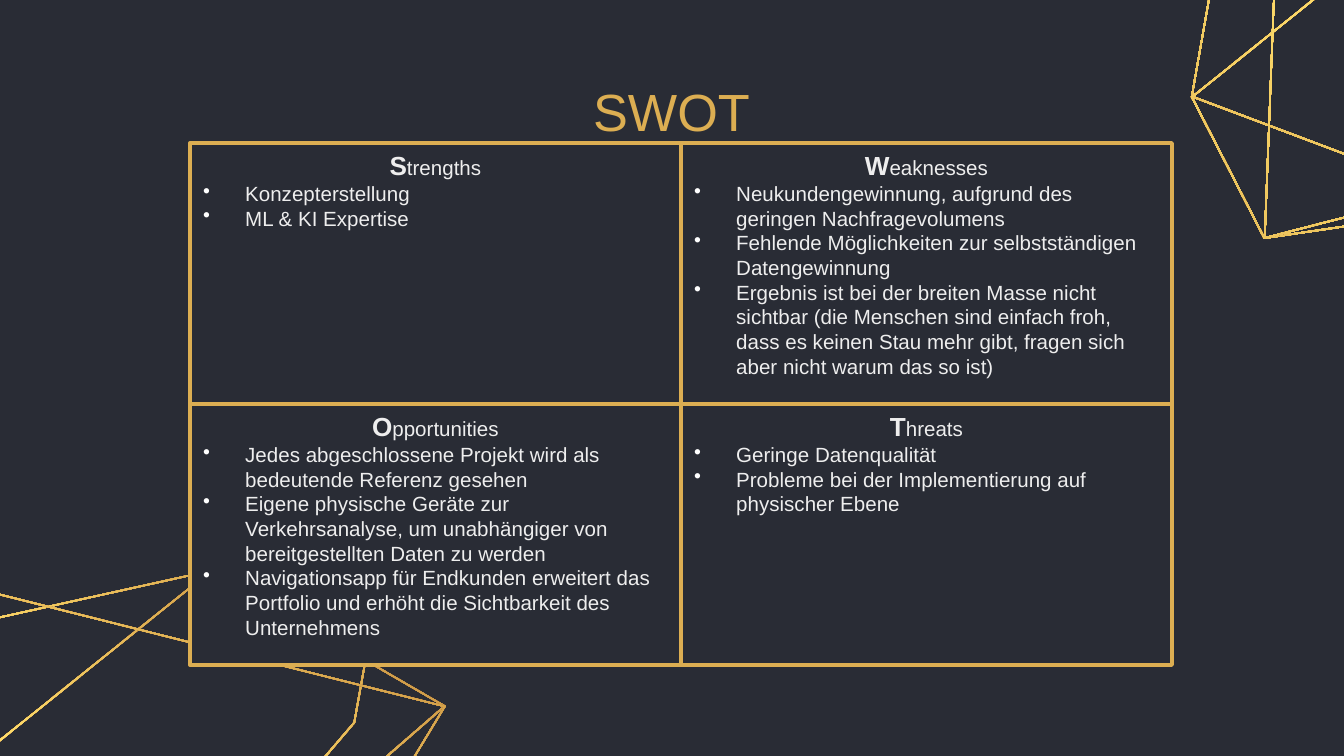
from copy import deepcopy
from dataclasses import dataclass
from math import cos, hypot, radians, sin

from lxml.etree import SubElement
from pptx import Presentation
from pptx.dml.color import RGBColor
from pptx.enum.shapes import MSO_SHAPE
from pptx.enum.text import MSO_ANCHOR, PP_ALIGN
from pptx.oxml.ns import qn
from pptx.util import Pt

PX = 6804  # EMU in one px


@dataclass(frozen=True)
class Theme:
    font: str = "Arial"
    background: str = "292C35"
    gold: str = "DCAE52"
    text: str = "EEEEEE"
    bullet: str = "FFFFFF"
    mesh: tuple = ((0, "AF7132"), (0.5, "FFDD6B"), (1, "DCAE52"))
    title_size: int = 28
    initial_size: int = 14
    body_size: int = 11
    border: int = 2


THEME = Theme()

# Content, row by row
TITLE = "SWOT"
QUADRANTS = [
    ("Strengths", ["Konzepterstellung", "ML & KI Expertise"]),
    ("Weaknesses", [
        "Neukundengewinnung, aufgrund des geringen Nachfragevolumens",
        "Fehlende Möglichkeiten zur selbstständigen Datengewinnung",
        "Ergebnis ist bei der breiten Masse nicht sichtbar (die Menschen sind einfach froh, "
        "dass es keinen Stau mehr gibt, fragen sich aber nicht warum das so ist)",
    ]),
    ("Opportunities", [
        "Jedes abgeschlossene Projekt wird als bedeutende Referenz gesehen",
        "Eigene physische Geräte zur Verkehrsanalyse, um unabhängiger von "
        "bereitgestellten Daten zu werden",
        "Navigationsapp für Endkunden erweitert das Portfolio und erhöht die "
        "Sichtbarkeit des Unternehmens",
    ]),
    ("Threats", [
        "Geringe Datenqualität",
        "Probleme bei der Implementierung auf physischer Ebene",
    ]),
]

# Geometry in px
SLIDE_SIZE = (1344, 756)
TITLE_BOX = (293, 79, 757, 63)
GRID_LEFT, GRID_TOP, CELL_WIDTH, CELL_HEIGHT, COLUMNS = 190, 143, 491, 261, 2
BULLET_INDENT = 42

# Mesh of three outlines with shared corners, used in two places
CORNERS = {
    "west": (-144, 855), "northwest": (-106, 640), "north": (211, 570),
    "northeast": (374, 618), "inner": (355, 723), "south": (148, 965),
    "southwest": (-71, 997), "top": (-55, 580), "east": (446, 706),
    "southeast": (333, 893),
}
OUTLINES = [
    ("west", "northwest", "north", "northeast", "inner", "south"),
    ("southwest", "west", "north", "east", "south"),
    ("southwest", "top", "east", "southeast"),
]
MESH_OFFSETS = [(0, 0), (1335, -758)]
MESH_ANGLE = 31.4
MESH_THICKNESS = 1.5


def color(value):
    return RGBColor.from_string(value)


def rotate(point, degrees):
    x, y = point
    angle = radians(degrees)
    return x * cos(angle) - y * sin(angle), x * sin(angle) + y * cos(angle)


def inset(points, distance):
    """Move every edge of a convex outline inwards by the distance."""
    result = []
    for index, (x, y) in enumerate(points):
        directions = []
        for other in (points[index - 1], points[(index + 1) % len(points)]):
            dx, dy = other[0] - x, other[1] - y
            directions.append((dx / hypot(dx, dy), dy / hypot(dx, dy)))
        (ax, ay), (bx, by) = directions
        reach = distance / abs(ax * by - ay * bx)
        result.append((x + reach * (ax + bx), y + reach * (ay + by)))
    return result


def fill_gradient(shape):
    shape.fill.gradient()
    shape.fill.gradient_angle = 270
    stop_list = shape.fill._fill._gradFill.find(qn("a:gsLst"))
    stop_list.append(deepcopy(stop_list[-1]))
    for stop, (position, value) in zip(shape.fill.gradient_stops, THEME.mesh):
        stop.position = position
        stop.color.rgb = color(value)


def add_outline(page, points):
    """Draw a thin closed ring in a rotated frame, so that its gradient is tilted."""
    contours = [
        [rotate((x * PX, y * PX), -MESH_ANGLE) for x, y in contour]
        for contour in (points, inset(points, MESH_THICKNESS)[::-1])
    ]
    builder = page.shapes.build_freeform(*contours[0][0])
    builder.add_line_segments(contours[0][1:], close=True)
    builder.move_to(*contours[1][0])
    builder.add_line_segments(contours[1][1:], close=True)
    shape = builder.convert_to_shape()
    center = (shape.left + shape.width / 2, shape.top + shape.height / 2)
    x, y = rotate(center, MESH_ANGLE)
    shape.left, shape.top = round(x - shape.width / 2), round(y - shape.height / 2)
    shape.rotation = MESH_ANGLE
    shape.shadow.inherit = False
    shape.line.fill.background()
    fill_gradient(shape)


def set_font(font, size, value):
    font.name, font.size, font.color.rgb = THEME.font, Pt(size), color(value)


def add_bullet(para):
    properties = para._p.get_or_add_pPr()
    properties.set("marL", str(BULLET_INDENT * PX))
    properties.set("indent", str(-BULLET_INDENT * PX))
    bullet_color = SubElement(properties, qn("a:buClr"))
    SubElement(bullet_color, qn("a:srgbClr"), val=THEME.bullet)
    SubElement(properties, qn("a:buChar"), char="•")


def add_title(page):
    box = page.shapes.add_textbox(*(length * PX for length in TITLE_BOX))
    box.text_frame.word_wrap = True
    box.text_frame.vertical_anchor = MSO_ANCHOR.MIDDLE
    para = box.text_frame.paragraphs[0]
    para.text, para.alignment = TITLE, PP_ALIGN.CENTER
    set_font(para.font, THEME.title_size, THEME.gold)


def add_quadrant(page, index, heading, points):
    row, column = divmod(index, COLUMNS)
    frame = (GRID_LEFT + column * CELL_WIDTH, GRID_TOP + row * CELL_HEIGHT,
             CELL_WIDTH, CELL_HEIGHT)
    box = page.shapes.add_shape(MSO_SHAPE.RECTANGLE, *(length * PX for length in frame))
    box.shadow.inherit = False
    box.fill.solid()
    box.fill.fore_color.rgb = color(THEME.background)
    box.line.color.rgb, box.line.width = color(THEME.gold), Pt(THEME.border)
    box.text_frame.word_wrap = True
    box.text_frame.vertical_anchor = MSO_ANCHOR.TOP

    # Heading with a large initial
    para = box.text_frame.paragraphs[0]
    para.alignment = PP_ALIGN.CENTER
    set_font(para.font, THEME.body_size, THEME.text)
    initial = para.add_run()
    initial.text = heading[0]
    initial.font.size, initial.font.bold = Pt(THEME.initial_size), True
    para.add_run().text = heading[1:]

    for point in points:
        para = box.text_frame.add_paragraph()
        para.text, para.alignment = point, PP_ALIGN.LEFT
        add_bullet(para)
        set_font(para.font, THEME.body_size, THEME.text)


def main():
    deck = Presentation()
    deck.slide_width, deck.slide_height = (length * PX for length in SLIDE_SIZE)
    page = deck.slides.add_slide(deck.slide_layouts[6])
    page.background.fill.solid()
    page.background.fill.fore_color.rgb = color(THEME.background)

    for dx, dy in MESH_OFFSETS:
        for names in OUTLINES:
            add_outline(page, [(CORNERS[name][0] + dx, CORNERS[name][1] + dy) for name in names])
    add_title(page)
    for index, (heading, points) in enumerate(QUADRANTS):
        add_quadrant(page, index, heading, points)
    deck.save("out.pptx")


if __name__ == "__main__":
    main()
